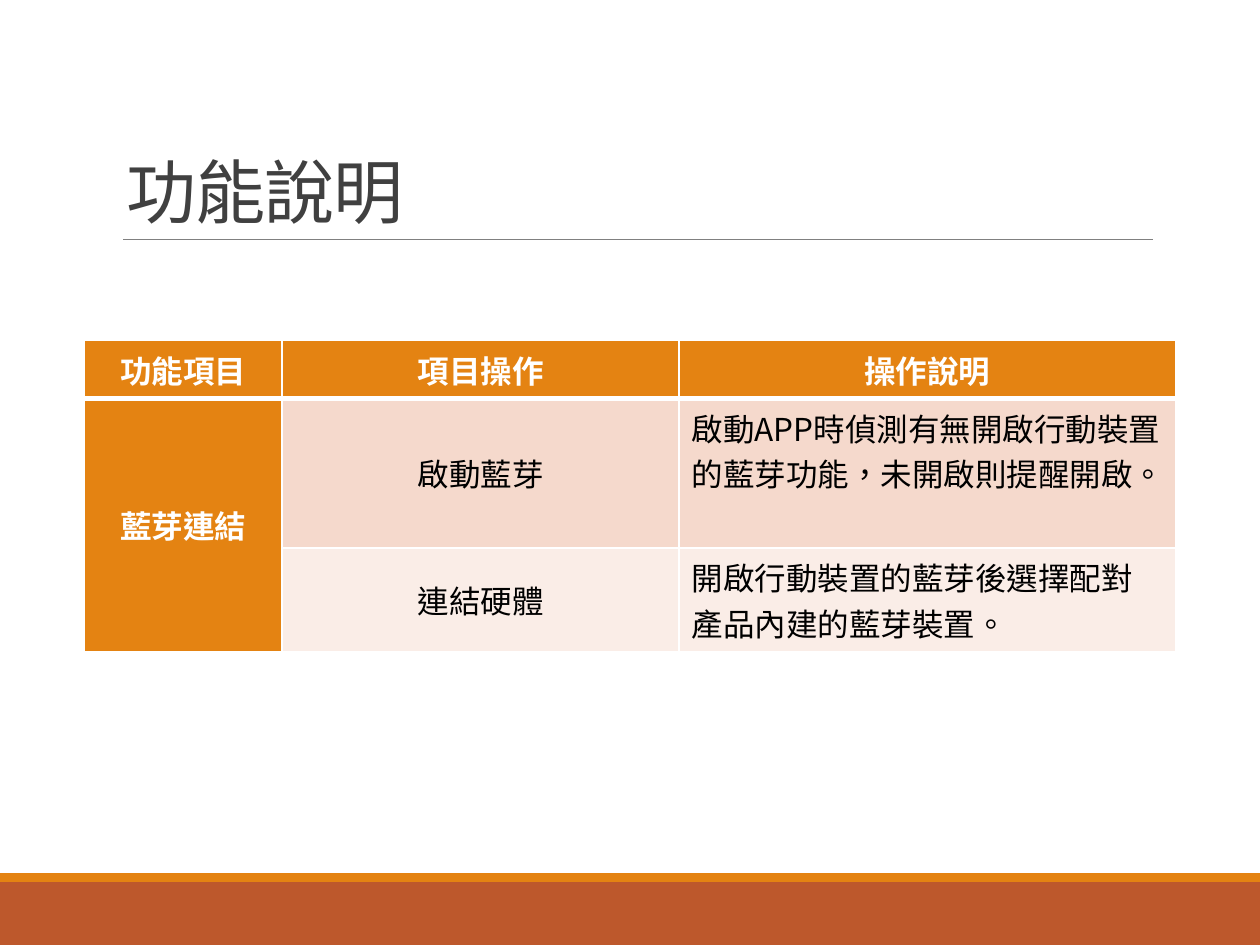
from pptx import Presentation
from pptx.dml.color import RGBColor
from pptx.enum.shapes import MSO_CONNECTOR, MSO_SHAPE
from pptx.enum.text import MSO_ANCHOR, MSO_AUTO_SIZE, PP_ALIGN
from pptx.oxml.ns import qn
from pptx.util import Inches, Pt
from lxml import etree

LEFT, CENTER = PP_ALIGN.LEFT, PP_ALIGN.CENTER
TOP, MIDDLE, BOTTOM = MSO_ANCHOR.TOP, MSO_ANCHOR.MIDDLE, MSO_ANCHOR.BOTTOM

# Content
TITLE = "功能說明"
HEADERS = ["功能項目", "項目操作", "操作說明"]
GROUP = "藍芽連結"
OPERATIONS = [
    ("啟動藍芽", "啟動APP時偵測有無開啟行動裝置的藍芽功能，未開啟則提醒開啟。"),
    ("連結硬體", "開啟行動裝置的藍芽後選擇配對產品內建的藍芽裝置。"),
]
COL_WIDTHS = [1.57, 3.15, 3.94]
ROW_HEIGHT = 0.41

THEME = {
    "title_font": "Calibri", "cjk_font": "Noto Sans CJK SC",
    "title_size": 40, "cell_size": 18,
    "title": "404040", "text": "000000", "white": "FFFFFF", "rule": "808080",
    "accent": "E48312", "footer": "BD582C", "bands": ["F5D9CC", "FAEDE7"],
}


def rgb(name):
    return RGBColor.from_string(THEME.get(name, name))


def write(tf, text, font, size, color, align=LEFT, bold=False):
    p = tf.paragraphs[0]
    p.alignment = align
    r = p.add_run()
    r.text = text
    p.font.name, p.font.size, p.font.bold = font, Pt(size), bold
    p.font.color.rgb = rgb(color)
    rPr = r._r.get_or_add_rPr()
    rPr.set("lang", "zh-TW")
    etree.SubElement(rPr, qn("a:ea"), typeface=THEME["cjk_font"])
    return p, rPr


def add_bar(shapes, top, height, color):
    sp = shapes.add_shape(MSO_SHAPE.RECTANGLE, 0, Inches(top), Inches(10), Inches(height))
    sp.shadow.inherit = False
    sp.fill.solid()
    sp.fill.fore_color.rgb = rgb(color)
    sp.line.fill.background()


def set_borders(cell, bottom):
    tcPr = cell._tc.get_or_add_tcPr()
    widths = {"lnL": 1, "lnR": 1, "lnT": 1, "lnB": bottom}
    for i, (side, width) in enumerate(widths.items()):
        ln = etree.Element(qn("a:" + side), w=str(Pt(width)))
        fill = etree.SubElement(ln, qn("a:solidFill"))
        etree.SubElement(fill, qn("a:srgbClr"), val=THEME["white"])
        tcPr.insert(i, ln)


def fill_cell(cell, text, fill, color="text", align=CENTER, anchor=MIDDLE, bold=False):
    cell.fill.solid()
    cell.fill.fore_color.rgb = rgb(fill)
    cell.vertical_anchor = anchor
    if text:
        write(cell.text_frame, text, THEME["cjk_font"], THEME["cell_size"], color, align, bold)


prs = Presentation()
prs.slide_width, prs.slide_height = Inches(10), Inches(7.5)
s = prs.slides.add_slide(prs.slide_layouts[5])

# Footer bars
add_bar(s.shapes, 7, 0.5, "footer")
add_bar(s.shapes, 6.93, 0.07, "accent")

# Rule under the title
rule = s.shapes.add_connector(MSO_CONNECTOR.STRAIGHT, Inches(0.98), Inches(1.9),
                              Inches(9.15), Inches(1.9))
rule.line.color.rgb = rgb("rule")
rule.line.width = Pt(0.5)
etree.SubElement(rule._element.spPr, qn("a:effectLst"))

# Title
title = s.shapes.title
title.left, title.top = Inches(0.9), Inches(0.31)
title.width, title.height = Inches(8.25), Inches(1.59)
tf = title.text_frame
tf.word_wrap, tf.auto_size = True, MSO_AUTO_SIZE.NONE
tf.vertical_anchor = BOTTOM
p, rPr = write(tf, TITLE, THEME["title_font"], THEME["title_size"], "title")
p.line_spacing = 0.85
rPr.set("spc", "-50")

# Table: header row, then one merged group cell beside the operations
n_rows = len(OPERATIONS) + 1
table = s.shapes.add_table(n_rows, len(HEADERS), Inches(0.67), Inches(2.7),
                           Inches(sum(COL_WIDTHS)), Inches(ROW_HEIGHT * n_rows)).table
for col, width in zip(table.columns, COL_WIDTHS):
    col.width = Inches(width)
for row in table.rows:
    row.height = Inches(ROW_HEIGHT)

for c, text in enumerate(HEADERS):
    fill_cell(table.cell(0, c), text, "accent", "white", anchor=TOP, bold=True)
for i, (name, detail) in enumerate(OPERATIONS):
    band = THEME["bands"][i]
    fill_cell(table.cell(i + 1, 0), "" if i else GROUP, "accent", "white", bold=True)
    fill_cell(table.cell(i + 1, 1), name, band)
    fill_cell(table.cell(i + 1, 2), detail, band, align=LEFT, anchor=TOP)
table.cell(1, 0).merge(table.cell(n_rows - 1, 0))

for r in range(n_rows):
    for c in range(len(HEADERS)):
        set_borders(table.cell(r, c), 1 if r else 3)

prs.save("out.pptx")
